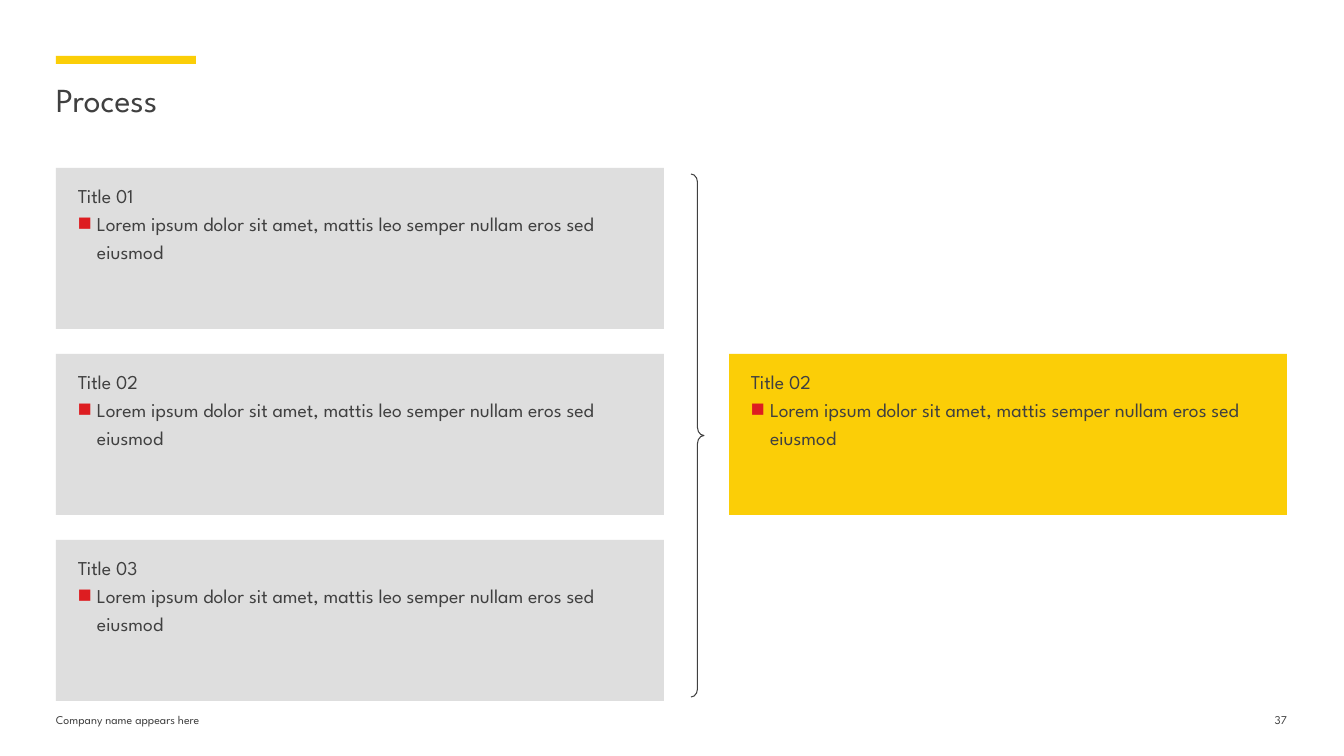
from lxml import etree
from pptx import Presentation
from pptx.dml.color import RGBColor
from pptx.enum.shapes import MSO_SHAPE
from pptx.enum.text import MSO_ANCHOR, PP_ALIGN
from pptx.oxml.ns import qn
from pptx.util import Pt

RECTANGLE, RIGHT_BRACE = MSO_SHAPE.RECTANGLE, MSO_SHAPE.RIGHT_BRACE
TOP = MSO_ANCHOR.TOP
LEFT, RIGHT = PP_ALIGN.LEFT, PP_ALIGN.RIGHT
PX = 9071.43
FONT = "League Spartan"
INK, YELLOW, GREY, RED = "404040", "FBCE07", "DEDEDE", "DD1D21"


def lengths(*pixels):
    return [round(pixel * PX) for pixel in pixels]


def add_text(para, text, size, align=LEFT):
    para.alignment = align
    span = para.add_run()
    span.text = text
    span.font.size = Pt(size)
    span.font.name = FONT
    span.font.color.rgb = RGBColor.from_string(INK)


deck = Presentation()
deck.slide_width, deck.slide_height = lengths(1344, 756)
page = deck.slides.add_slide(deck.slide_layouts[5])

title = page.shapes.title
title.left, title.top, title.width, title.height = lengths(56, 79, 1232, 83)
frame = title.text_frame
frame.margin_left = frame.margin_top = frame.margin_right = frame.margin_bottom = 0
frame.vertical_anchor = TOP
frame.word_wrap = True
add_text(frame.paragraphs[0], "Process", 24)

accent = page.shapes.add_shape(RECTANGLE, *lengths(56, 56, 140, 8))
accent.shadow.inherit = False
accent.fill.solid()
accent.fill.fore_color.rgb = RGBColor.from_string(YELLOW)
accent.line.fill.background()

footers = [
    (56, 370, "Company name appears here", LEFT),
    (1248, 39, "37", RIGHT),
]
for left, width, text, align in footers:
    box = page.shapes.add_textbox(*lengths(left, 713, width, 26))
    frame = box.text_frame
    frame.margin_left = frame.margin_top = frame.margin_right = 0
    frame.margin_bottom = lengths(5)[0]
    frame.word_wrap = False
    add_text(frame.paragraphs[0], text, 8.5, align)

step_text = "Lorem ipsum dolor sit amet, mattis leo semper nullam eros sed eiusmod"
result_text = "Lorem ipsum dolor sit amet, mattis semper nullam eros sed eiusmod"
first_top, pitch = 168, 186
cards = [
    (56, first_top + row * pitch, 608, GREY, f"Title 0{row + 1}", step_text)
    for row in range(3)
]
cards.append((729, first_top + pitch, 558, YELLOW, "Title 02", result_text))

for left, top, width, color, heading, text in cards:
    card = page.shapes.add_shape(RECTANGLE, *lengths(left, top, width, 161))
    card.shadow.inherit = False
    card.fill.solid()
    card.fill.fore_color.rgb = RGBColor.from_string(color)
    card.line.fill.background()
    frame = card.text_frame
    frame.word_wrap = True
    frame.vertical_anchor = TOP
    frame.margin_left, frame.margin_top, frame.margin_right, frame.margin_bottom = lengths(22, 11, 0, 1)

    para = frame.paragraphs[0]
    para.line_spacing = 1.2
    add_text(para, heading, 14)

    para = frame.add_paragraph()
    para.line_spacing = 1.2
    properties = para._p.get_or_add_pPr()
    indent = lengths(19)[0]
    properties.set("marL", str(indent))
    properties.set("indent", str(-indent))
    bullet_color = etree.SubElement(properties, qn("a:buClr"))
    etree.SubElement(bullet_color, qn("a:srgbClr"), val=RED)
    etree.SubElement(properties, qn("a:buSzPct"), val="75000")
    etree.SubElement(properties, qn("a:buFont"), typeface=FONT)
    etree.SubElement(properties, qn("a:buChar"), char="■")
    add_text(para, text, 14)

brace = page.shapes.add_shape(RIGHT_BRACE, *lengths(691, 174, 13, 523))
brace.shadow.inherit = False
brace.adjustments[0] = 0.62
brace.adjustments[1] = 0.5
brace.fill.background()
brace.line.color.rgb = RGBColor.from_string(INK)
brace.line.width = Pt(0.75)

deck.save("out.pptx")
